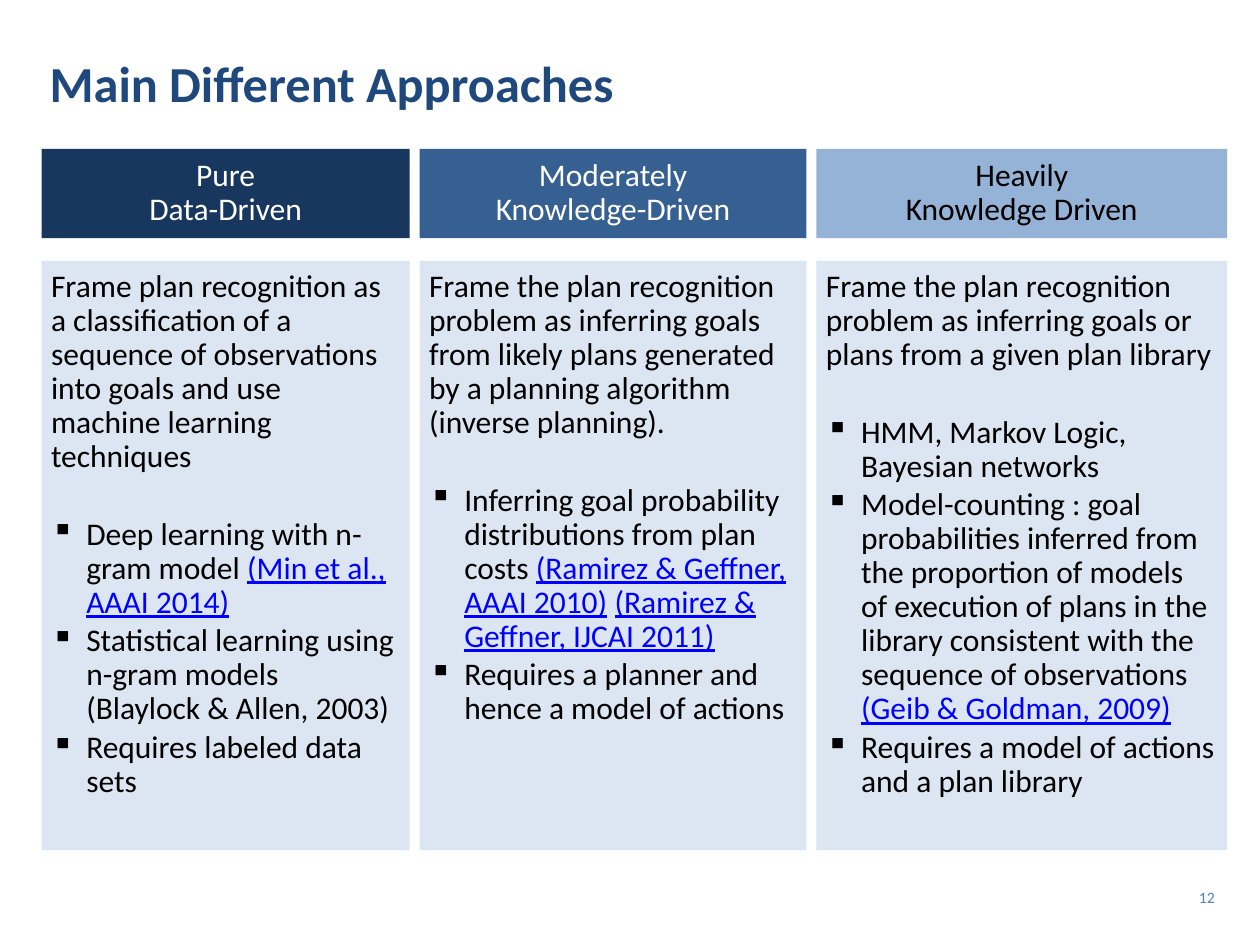
from lxml import etree
from pptx import Presentation
from pptx.dml.color import RGBColor
from pptx.enum.shapes import MSO_SHAPE as Shape
from pptx.enum.text import MSO_ANCHOR as Anchor, MSO_AUTO_SIZE as AutoSize, PP_ALIGN as Align
from pptx.oxml.ns import qn
from pptx.util import Cm, Pt

# Content: a bullet is a list of (text, is_citation) runs
TITLE = "Main Different Approaches"
PAGE_NUMBER = "12"
APPROACHES = [
    dict(
        heading=["Pure", "Data-Driven"], fill="17375E", color="FFFFFF", width=7.42,
        intro="Frame plan recognition as a classification of a sequence of "
              "observations into goals and use machine learning techniques",
        bullets=[
            [("Deep learning with n-gram model ", False), ("(Min et al., AAAI 2014)", True)],
            [("Statistical learning using n-gram models (Blaylock & Allen, 2003)", False)],
            [("Requires labeled data sets", False)],
        ]),
    dict(
        heading=["Moderately", "Knowledge-Driven"], fill="376092", color="FFFFFF", width=7.8,
        intro="Frame the plan recognition problem as inferring goals from likely "
              "plans generated by a planning algorithm (inverse planning).",
        bullets=[
            [("Inferring goal probability distributions from plan costs ", False),
             ("(Ramirez & Geffner, AAAI 2010)", True), (" ", False),
             ("(Ramirez & Geffner, IJCAI 2011)", True)],
            [("Requires a planner and hence a model of actions", False)],
        ]),
    dict(
        heading=["Heavily", "Knowledge Driven"], fill="95B3D7", color="000000", width=8.28,
        intro="Frame the plan recognition problem as inferring goals or plans "
              "from a given plan library",
        bullets=[
            [("HMM, Markov Logic, Bayesian networks", False)],
            [("Model-counting : goal probabilities inferred from the proportion of models "
              "of execution of plans in the library consistent with the sequence of "
              "observations ", False), ("(Geib & Goldman, 2009)", True)],
            [("Requires a model of actions and a plan library", False)],
        ]),
]

# Layout in cm
LEFT, GAP = 0.84, 0.2
HEADING_TOP, HEADING_HEIGHT = 3.0, 1.8
BODY_TOP, BODY_HEIGHT = 5.26, 11.88
BULLET_INDENT = 0.71
BODY_FILL, CITATION_COLOR = "DCE6F2", "0000FF"


def rgb(hex_color):
    return RGBColor.from_string(hex_color)


def add_bullet(paragraph):
    properties = paragraph._p.get_or_add_pPr()
    properties.set("marL", str(Cm(BULLET_INDENT)))
    properties.set("indent", str(-Cm(BULLET_INDENT)))
    etree.SubElement(properties, qn("a:buChar")).set("char", "▪")


def write(frame, runs, size=18, color="000000", bold=False, align=Align.LEFT,
          line=0.9, after=0, bullet=False):
    """Write one paragraph, filling the empty first one before adding more."""
    first = frame.paragraphs[0]
    paragraph = frame.add_paragraph() if first.runs else first
    paragraph.alignment = align
    paragraph.line_spacing = line
    paragraph.space_before, paragraph.space_after = Pt(0), Pt(after)
    if bullet:
        add_bullet(paragraph)
    for text, is_citation in [(runs, False)] if isinstance(runs, str) else runs:
        run = paragraph.add_run()
        run.text = text
        run.font.name, run.font.size, run.font.bold = "Calibri", Pt(size), bold
        run.font.underline = is_citation
        run.font.color.rgb = rgb(CITATION_COLOR if is_citation else color)


def set_frame(frame, anchor, margins, wrap=True):
    frame.word_wrap, frame.auto_size = wrap, AutoSize.NONE
    frame.vertical_anchor = anchor
    (frame.margin_left, frame.margin_top,
     frame.margin_right, frame.margin_bottom) = [Cm(m) for m in margins]


def add_panel(slide, left, top, width, height, fill, anchor, margins):
    panel = slide.shapes.add_shape(Shape.RECTANGLE, Cm(left), Cm(top), Cm(width), Cm(height))
    panel.shadow.inherit = False
    panel.fill.solid()
    panel.fill.fore_color.rgb = rgb(fill)
    panel.line.fill.background()
    set_frame(panel.text_frame, anchor, margins)
    return panel.text_frame


def main():
    deck = Presentation()
    deck.slide_width, deck.slide_height = Cm(25.4), Cm(19.05)
    slide = deck.slides.add_slide(deck.slide_layouts[5])

    # Title
    title = slide.shapes.title
    title.left, title.top, title.width, title.height = Cm(1), Cm(0.76), Cm(21.9), Cm(1.8)
    set_frame(title.text_frame, Anchor.MIDDLE, (0, 0, 0, 0), wrap=False)
    write(title.text_frame, TITLE, size=28.8, color="1F497D", bold=True, line=1)

    # One column per approach: heading above, description below
    left = LEFT
    for approach in APPROACHES:
        width = approach["width"]
        body = add_panel(slide, left, BODY_TOP, width, BODY_HEIGHT, BODY_FILL,
                         Anchor.TOP, (0.19, 0.19, 0.25, 0.28))
        write(body, approach["intro"], after=24.8)
        for bullet in approach["bullets"]:
            write(body, bullet, after=2.7, bullet=True)

        heading = add_panel(slide, left, HEADING_TOP, width, HEADING_HEIGHT, approach["fill"],
                            Anchor.MIDDLE, (0.25, 0.15, 0.25, 0.15))
        for heading_line in approach["heading"]:
            write(heading, heading_line, color=approach["color"], align=Align.CENTER)
        left += width + GAP

    # Page number
    page = slide.shapes.add_textbox(Cm(18.82), Cm(17.58), Cm(5.92), Cm(1.02)).text_frame
    set_frame(page, Anchor.MIDDLE, (0.25, 0.13, 0.25, 0.13))
    write(page, PAGE_NUMBER, size=9, color="4F81BD", align=Align.RIGHT, line=1)

    deck.save("out.pptx")


if __name__ == "__main__":
    main()
